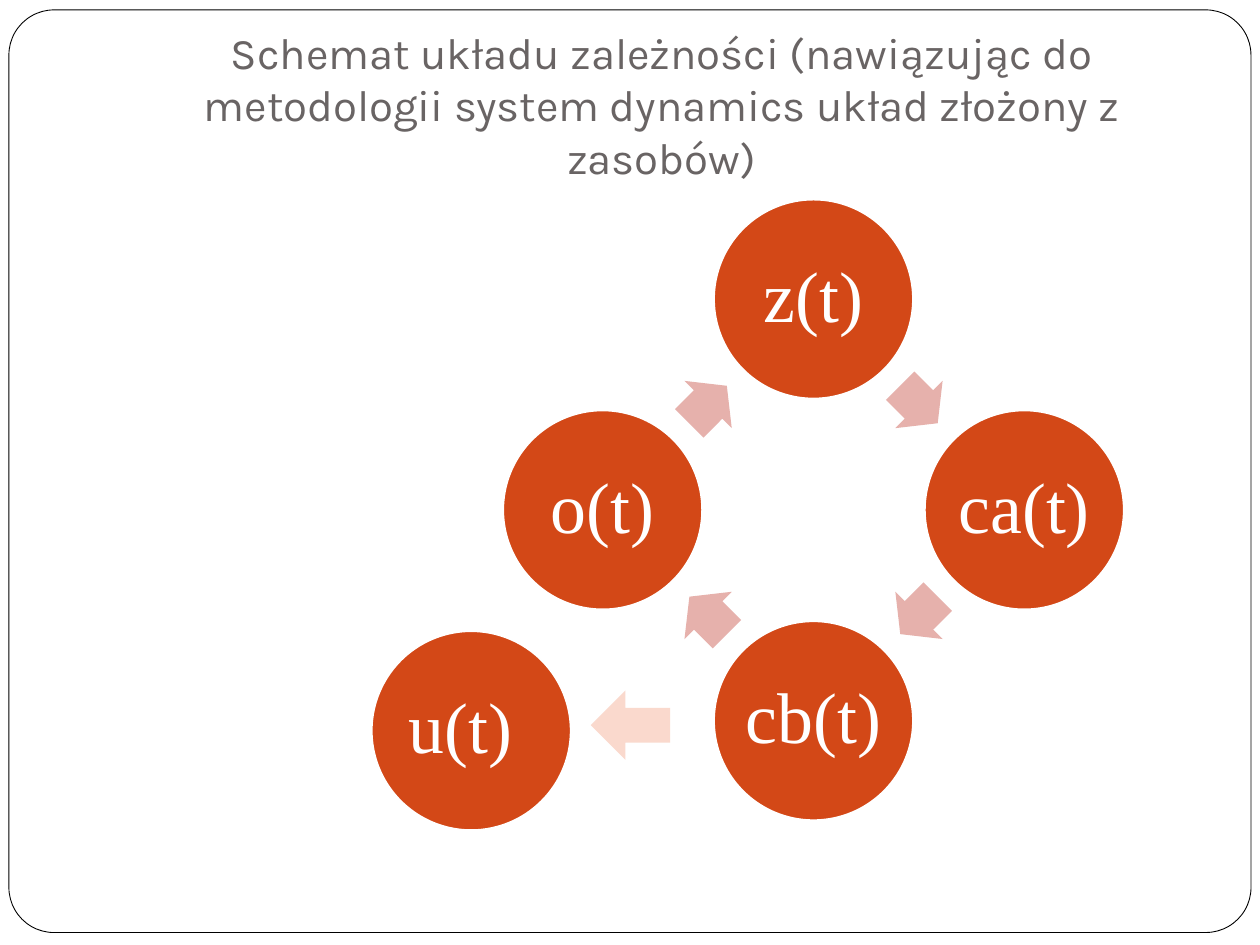
from dataclasses import dataclass
from math import cos, radians, sin

from pptx import Presentation
from pptx.dml.color import RGBColor
from pptx.enum.shapes import MSO_SHAPE as Preset
from pptx.enum.text import MSO_ANCHOR as Anchor, PP_ALIGN as Align
from pptx.util import Cm, Pt

WHITE = RGBColor(0xFF, 0xFF, 0xFF)
BLACK = RGBColor(0x00, 0x00, 0x00)
GREY = RGBColor(0x69, 0x64, 0x64)
ORANGE = RGBColor(0xD3, 0x48, 0x17)
PINK = RGBColor(0xE6, 0xB1, 0xAC)
PEACH = RGBColor(0xFA, 0xD9, 0xCD)

CYCLE_X, CYCLE_Y, CYCLE_RADIUS = 16.4, 10.28, 4.25
NODE_DIAMETER = 4.01
CYCLE_LABELS = ("z(t)", "ca(t)", "cb(t)", "o(t)")


@dataclass(frozen=True)
class Node:
    """A labelled circle, with its centre in centimetres."""
    label: str
    x: float
    y: float
    right_inset: float = 0.15


def add_preset(slide, preset: Preset, x: float, y: float, width: float, height: float,
               fill: RGBColor, line: RGBColor | None = None, line_width: float = 1,
               rotation: float = 0):
    """Add a preset shape centred on (x, y), in centimetres."""
    shape = slide.shapes.add_shape(preset, Cm(x - width / 2), Cm(y - height / 2),
                                   Cm(width), Cm(height))
    shape.shadow.inherit = False
    shape.rotation = rotation
    shape.fill.solid()
    shape.fill.fore_color.rgb = fill
    if line is None:
        shape.line.fill.background()
    else:
        shape.line.color.rgb = line
        shape.line.width = Pt(line_width)
    return shape


def write_text(shape, text: str, *, font: str, size: float, color: RGBColor,
               anchor: Anchor = Anchor.MIDDLE, wrap: bool = True,
               insets: tuple = (0.15, 0.15, 0.15, 0.15),
               line_spacing: float = 1.0) -> None:
    """Write centred text; insets are left, top, right, bottom in centimetres."""
    frame = shape.text_frame
    frame.word_wrap = wrap
    frame.vertical_anchor = anchor
    (frame.margin_left, frame.margin_top,
     frame.margin_right, frame.margin_bottom) = map(Cm, insets)
    paragraph = frame.paragraphs[0]
    paragraph.alignment = Align.CENTER
    paragraph.line_spacing = line_spacing
    run = paragraph.add_run()
    run.text = text
    run.font.name = font
    run.font.size = Pt(size)
    run.font.color.rgb = color


def add_node(slide, node: Node) -> None:
    circle = add_preset(slide, Preset.OVAL, node.x, node.y, NODE_DIAMETER, NODE_DIAMETER,
                        ORANGE, WHITE)
    write_text(circle, node.label, font="Times New Roman", size=41, color=WHITE,
               wrap=False, insets=(0.15, 0.15, node.right_inset, 0.15), line_spacing=0.9)


def add_cycle_arrow(slide, start: Node, end: Node, rotation: float) -> None:
    arrow = add_preset(slide, Preset.RIGHT_ARROW, (start.x + end.x) / 2,
                       (start.y + end.y) / 2, 1.07, 1.35, PINK, rotation=rotation)
    arrow.adjustments[0] = 0.6
    arrow.adjustments[1] = 0.5


def add_cycle(slide) -> None:
    """Place the nodes clockwise from the top, each with an arrow to the next."""
    step = 360 / len(CYCLE_LABELS)
    nodes = []
    for index, label in enumerate(CYCLE_LABELS):
        angle = radians(index * step)
        nodes.append(Node(label, CYCLE_X + CYCLE_RADIUS * sin(angle),
                          CYCLE_Y - CYCLE_RADIUS * cos(angle)))
    for index, node in enumerate(nodes):
        add_node(slide, node)
        add_cycle_arrow(slide, node, nodes[(index + 1) % len(nodes)], (index + 0.5) * step)


def main() -> None:
    presentation = Presentation()
    presentation.slide_width, presentation.slide_height = Cm(25.4), Cm(19.05)
    slide = presentation.slides.add_slide(presentation.slide_layouts[6])

    border = add_preset(slide, Preset.ROUNDED_RECTANGLE, 12.7, 9.5, 25.04, 18.6,
                        WHITE, BLACK, 0.5)
    border.adjustments[0] = 0.049

    title = slide.shapes.add_textbox(Cm(2.54), Cm(0.76), Cm(21.59), Cm(3.18))
    write_text(title, "Schemat układu zależności (nawiązując do metodologii "
               "system dynamics układ złożony z zasobów)",
               font="Karla", size=25, color=GREY, anchor=Anchor.BOTTOM,
               insets=(0.25, 0.13, 0.25, 0.25))

    add_cycle(slide)
    add_preset(slide, Preset.LEFT_ARROW, 12.71, 14.62, 1.6, 1.4, PEACH)
    add_node(slide, Node("u(t)", 9.5, 14.73, right_inset=0.57))

    presentation.save("out.pptx")


if __name__ == "__main__":
    main()
